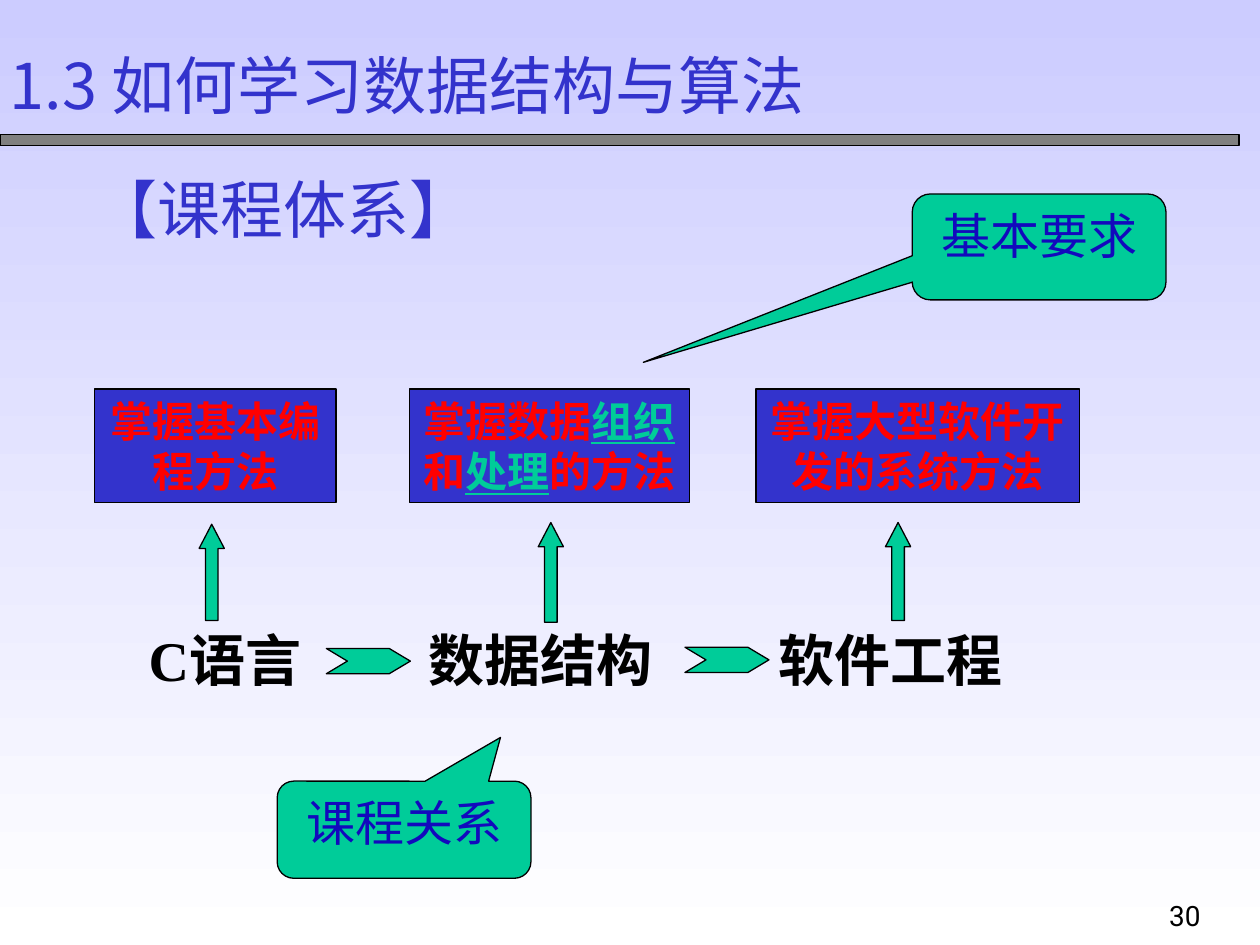
from lxml import etree
from pptx import Presentation
from pptx import util as u
from pptx.dml.color import RGBColor
from pptx.enum import shapes, text
from pptx.oxml import ns

Pt = u.Pt
MSO = shapes.MSO_SHAPE
BLACK = RGBColor(0x00, 0x00, 0x00)
WHITE = RGBColor(0xFF, 0xFF, 0xFF)
GRAY = RGBColor(0x80, 0x80, 0x80)
LAVENDER = RGBColor(0xCC, 0xCC, 0xFF)
BLUE = RGBColor(0x33, 0x33, 0xCC)
NAVY = RGBColor(0x12, 0x09, 0xBD)
RED = RGBColor(0xFF, 0x00, 0x00)
GREEN = RGBColor(0x00, 0xCC, 0x99)
SERIF, SANS, CJK = "Times New Roman", "Roboto", "Noto Sans CJK SC"

TITLE = {"size": Pt(36), "name": CJK, "color": BLUE}
COURSE = {"size": Pt(32), "name": SERIF, "color": BLACK, "bold": True}
GOAL = {"size": Pt(24), "name": SERIF, "color": RED, "bold": True}
KEYWORD = {**GOAL, "color": GREEN, "underline": True}
NOTE = {"size": Pt(28), "name": SERIF, "color": NAVY}
NUMBER = {"size": Pt(16), "name": SANS, "color": BLACK}
CENTER = text.PP_ALIGN.CENTER
TOP, BOTTOM = text.MSO_ANCHOR.TOP, text.MSO_ANCHOR.BOTTOM


class Deck:
    def __init__(self, width, height):
        self.prs = Presentation()
        self.prs.slide_width, self.prs.slide_height = Pt(width), Pt(height)
        self.s = self.prs.slides.add_slide(self.prs.slide_layouts[6])

    def background(self, *colors):
        fill = self.s.background.fill
        fill.gradient()
        fill.gradient_angle = 270
        for stop, color in zip(fill.gradient_stops, colors):
            stop.color.rgb = color

    def paint(self, sp, color):
        sp.shadow.inherit = False
        sp.fill.solid()
        sp.fill.fore_color.rgb = color
        sp.line.color.rgb = BLACK
        sp.line.width = Pt(0.75)
        return sp

    def fill_text(self, sp, runs, align=None, anchor=TOP):
        tf = sp.text_frame
        tf.word_wrap = True
        tf.vertical_anchor = anchor
        p = tf.paragraphs[0]
        p.alignment = align
        for words, style in runs:
            r = p.add_run()
            r.text = words
            for key, value in style.items():
                if key == "color":
                    r.font.color.rgb = value
                else:
                    setattr(r.font, key, value)
            ea = etree.SubElement(r._r.get_or_add_rPr(), ns.qn("a:ea"))
            ea.set("typeface", CJK)

    def label(self, box, runs, anchor=TOP):
        self.fill_text(self.s.shapes.add_textbox(*map(Pt, box)), runs, anchor=anchor)

    def shape(self, kind, box, color, adj=(), runs=()):
        sp = self.paint(self.s.shapes.add_shape(kind, *map(Pt, box)), color)
        for i, value in enumerate(adj):
            sp.adjustments[i] = value
        if runs:
            self.fill_text(sp, runs, CENTER)

    def chevron(self, x, y, w=48, h=14.4, notch=12):
        fb = self.s.shapes.build_freeform(Pt(x), Pt(y))
        points = [(x + w - notch, y), (x + w, y + h / 2), (x + w - notch, y + h),
                  (x, y + h), (x + notch, y + h / 2)]
        fb.add_line_segments([(Pt(a), Pt(b)) for a, b in points], close=True)
        self.paint(fb.convert_to_shape(), GREEN)


def main():
    d = Deck(720, 540)
    d.background(LAVENDER, WHITE)
    d.shape(MSO.RECTANGLE, (0, 77, 708, 6), GRAY)

    for x, w, course in [(77.8, 120, "C语言"), (237.6, 150, "数据结构"),
                         (437.8, 150, "软件工程")]:
        d.label((x, 354.2, w, 52), [(course, COURSE)])

    goals = [
        (54, 138, [("掌握基本编程方法", GOAL)]),
        (234, 160, [("掌握数据", GOAL), ("组织", KEYWORD), ("和", GOAL),
                    ("处理", KEYWORD), ("的方法", GOAL)]),
        (432, 185, [("掌握大型软件开发的系统方法", GOAL)]),
    ]
    for x, w, runs in goals:
        d.shape(MSO.RECTANGLE, (x, 222.2, w, 65), BLUE, runs=runs)

    for box, tip, words in [((521.3, 110.9, 145, 60.5), (-1.56, 1.09), "基本要求"),
                            ((158.4, 446.4, 145, 55.5), (0.38, -0.95), "课程关系")]:
        d.shape(MSO.ROUNDED_RECTANGULAR_CALLOUT, box, GREEN, (*tip, 0.17),
                [(words, NOTE)])

    for x, y, h in [(113.8, 299.6, 55), (307.6, 298.6, 57), (506, 298.6, 56)]:
        d.shape(MSO.UP_ARROW, (x, y, 14.4, h), GREEN, (0.5, 0.96))
    for x, y in [(186.5, 370.6), (391.4, 369.9)]:
        d.chevron(x, y)

    d.label((661, 509.8, 50, 30), [("30", NUMBER)])
    d.label((46.8, 108, 251, 36),
            [("【", TITLE), ("课程体系", {**TITLE, "name": SANS}), ("】", TITLE)], BOTTOM)
    d.label((-1.4, 23, 505, 50), [("1.3 如何学习数据结构与算法", TITLE)])
    d.prs.save("out.pptx")


if __name__ == "__main__":
    main()
